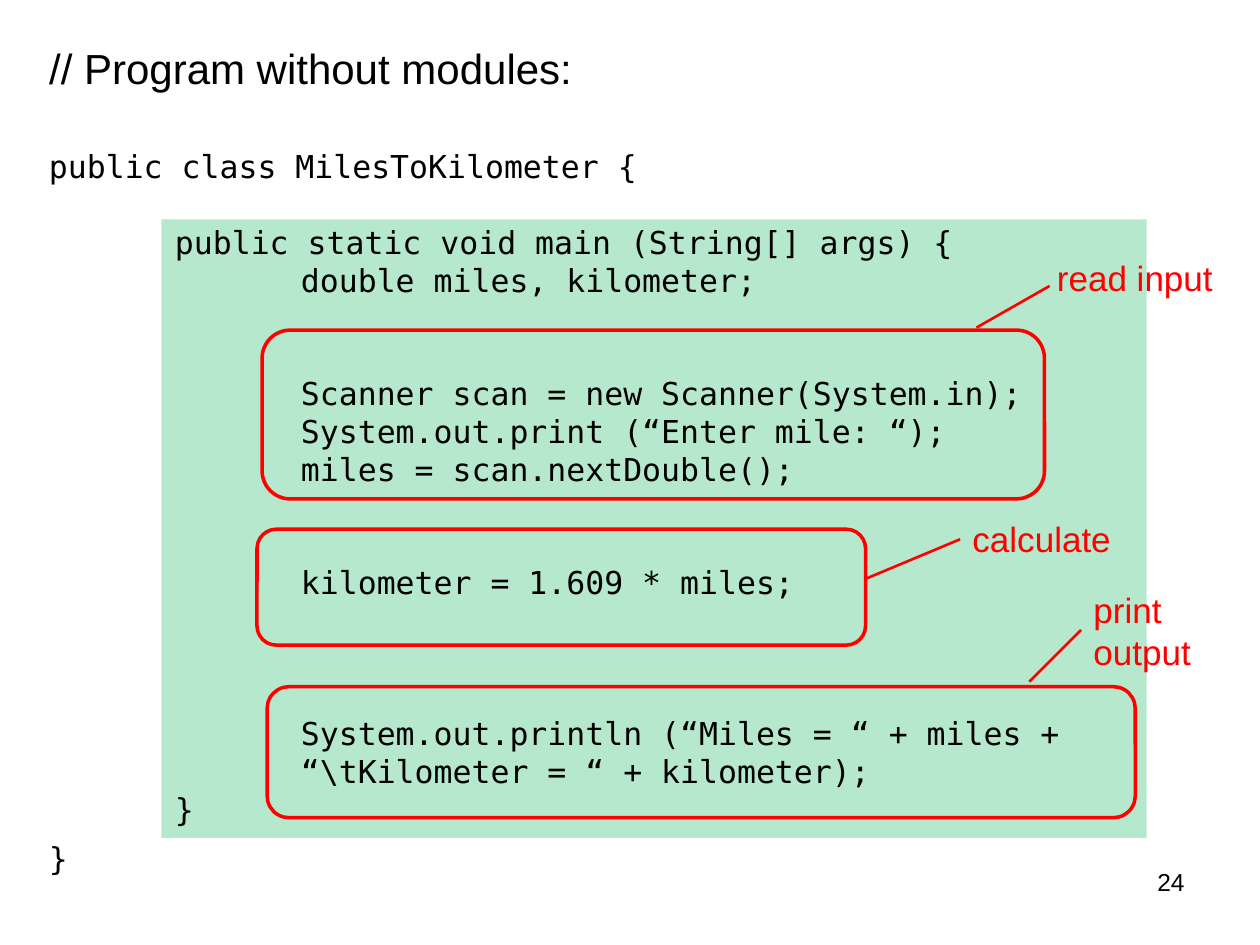
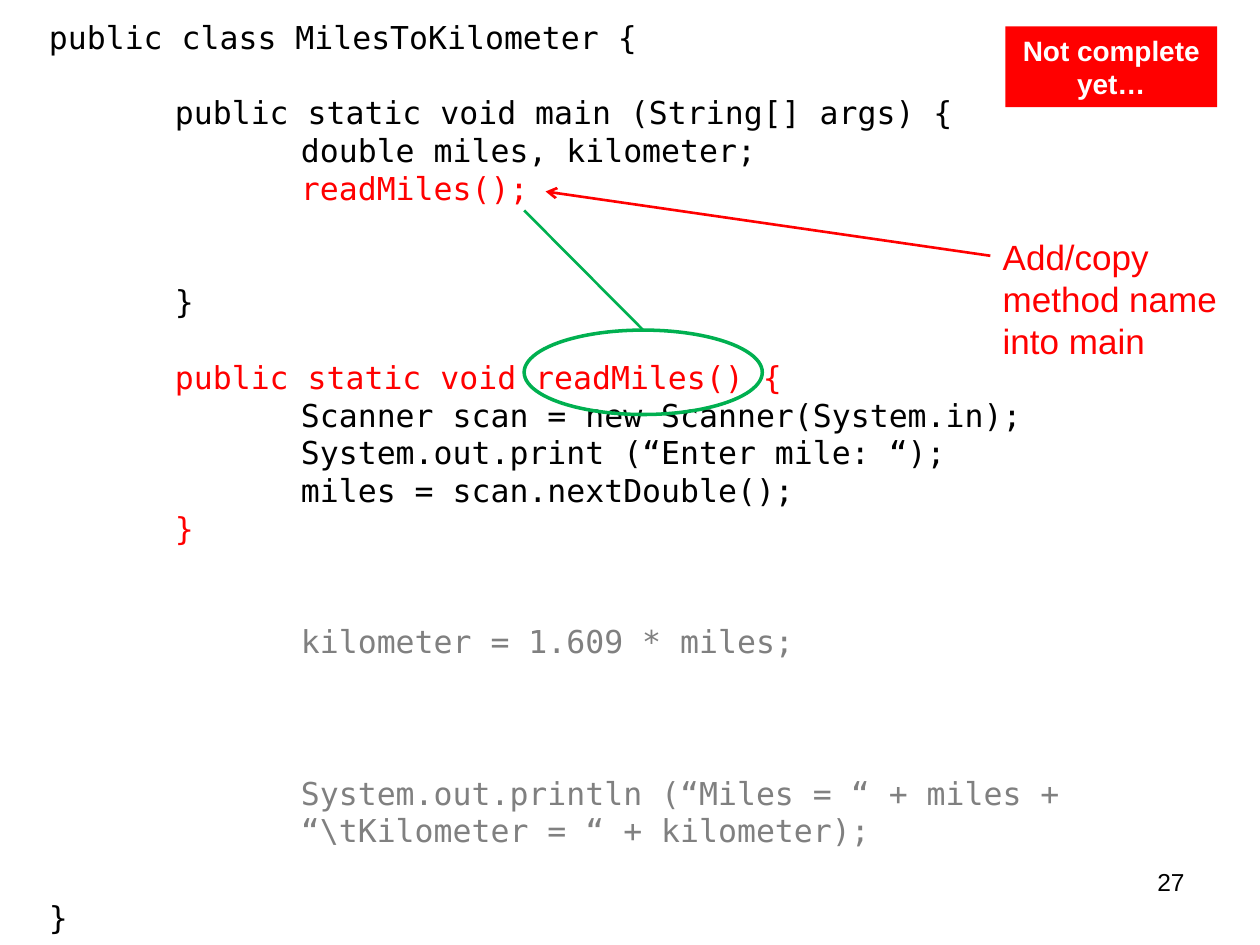
import pptx
import pptx.dml.color
import pptx.enum.shapes
import pptx.enum.text
import pptx.oxml
import pptx.oxml.ns
import pptx.util

SHAPES = pptx.enum.shapes.MSO_SHAPE
ALIGN = pptx.enum.text.PP_ALIGN
ANCHOR = pptx.enum.text.MSO_ANCHOR

BLACK, WHITE, GREY = "000000", "FFFFFF", "808080"
RED, GREEN = "FF0000", "00B050"
SANS, MONO = "Arial", "DejaVu Sans Mono"
COLUMNS, ROWS = 100, 75
CODE_SIZE, CODE_PITCH = 18, 21.6  # points

# Code that both slides show
CLASS_HEAD = ["public class MilesToKilometer {"]
MAIN_HEAD = ["public static void main (String[] args) {"]
DECLARATION = ["double miles, kilometer;"]
READ_INPUT = [
    "Scanner scan = new Scanner(System.in);",
    "System.out.print (“Enter mile: “);",
    "miles = scan.nextDouble();",
]
CALCULATE = ["kilometer = 1.609 * miles;"]
PRINT_OUTPUT = [
    "System.out.println (“Miles = “ + miles +",
    "“\\tKilometer = “ + kilometer);",
]
CLOSE = ["}"]


def rgb(value):
    return pptx.dml.color.RGBColor.from_string(value)


def add_xml(parent, tag, **attributes):
    """Append a DrawingML element to parent."""
    element = parent.makeelement(pptx.oxml.ns.qn(tag), attributes)
    parent.append(element)
    return element


class Deck:
    """Holds the style and the current slide; places are columns and rows."""

    def __init__(self):
        self.presentation = pptx.Presentation()
        self.presentation.slide_width = pptx.util.Inches(10)
        self.presentation.slide_height = pptx.util.Inches(7.5)
        self.slide = None

    def x(self, columns):
        return round(self.presentation.slide_width * columns / COLUMNS)

    def y(self, rows):
        return round(self.presentation.slide_height * rows / ROWS)

    def box(self, left, top, width, height):
        return self.x(left), self.y(top), self.x(width), self.y(height)

    def style(self, paragraph, size, color=BLACK, font=SANS, bold=False, align=ALIGN.LEFT):
        paragraph.alignment = align
        paragraph.font.size = pptx.util.Pt(size)
        paragraph.font.name = font
        paragraph.font.bold = bold
        paragraph.font.color.rgb = rgb(color)

    def new_slide(self, number, title=None):
        layout = self.presentation.slide_layouts[5 if title else 6]
        self.slide = self.presentation.slides.add_slide(layout)
        if title:
            shape = self.slide.shapes.title
            shape.left, shape.top, shape.width, shape.height = self.box(2.9, 2.9, 50, 5)
            frame = shape.text_frame
            frame.text = title
            frame.auto_size = pptx.enum.text.MSO_AUTO_SIZE.NONE
            frame.vertical_anchor = ANCHOR.TOP
            self.style(frame.paragraphs[0], 24)
        self.text(str(number), 71.7, 68.3, 23.3, 5.2, size=14, align=ALIGN.RIGHT)

    def text(self, words, *place, **style):
        shape = self.slide.shapes.add_textbox(*self.box(*place))
        shape.text_frame.word_wrap = True
        shape.text_frame.text = words
        self.style(shape.text_frame.paragraphs[0], **style)

    def note(self, words, *place):
        self.text(words, *place, size=20, color=RED)

    def code(self, top, height, blocks):
        """Each block is lines, indent in tabs, empty lines above, colour."""
        shape = self.slide.shapes.add_textbox(*self.box(2.9, top, 93.7, height))
        frame = shape.text_frame
        frame.word_wrap = True
        for block_index, (lines, indent, gap, color) in enumerate(blocks):
            for line_index, line in enumerate(lines):
                first = block_index == line_index == 0
                paragraph = frame.paragraphs[0] if first else frame.add_paragraph()
                paragraph.text = line
                paragraph.line_spacing = pptx.util.Pt(CODE_PITCH)
                space = gap * CODE_PITCH if line_index == 0 else 0
                paragraph.space_before = pptx.util.Pt(space)
                properties = paragraph._p.get_or_add_pPr()
                properties.set("marL", str(self.x(10 * indent)))
                properties.set("indent", "0")
                self.style(paragraph, CODE_SIZE, color, MONO)

    def panel(self, color, *place, opacity=100):
        shape = self.slide.shapes.add_shape(SHAPES.RECTANGLE, *self.box(*place))
        shape.shadow.inherit = False
        shape.fill.solid()
        shape.fill.fore_color.rgb = rgb(color)
        shape.line.fill.background()
        if opacity < 100:
            fill = shape._element.spPr.find(pptx.oxml.ns.qn("a:solidFill"))
            add_xml(fill[0], "a:alpha", val=str(opacity * 1000))
        return shape

    def badge(self, words, *place):
        frame = self.panel(RED, *place).text_frame
        frame.word_wrap = True
        frame.text = words
        self.style(frame.paragraphs[0], 16, WHITE, bold=True, align=ALIGN.CENTER)

    def outline(self, kind, color, *place):
        shape = self.slide.shapes.add_shape(kind, *self.box(*place))
        shape.shadow.inherit = False
        shape.fill.background()
        shape.line.color.rgb = rgb(color)
        shape.line.width = pptx.util.Pt(2)
        return shape

    def line(self, color, start, end, arrow=False):
        connector = self.slide.shapes.add_connector(
            pptx.enum.shapes.MSO_CONNECTOR.STRAIGHT,
            self.x(start[0]), self.y(start[1]), self.x(end[0]), self.y(end[1]))
        connector.line.color.rgb = rgb(color)
        connector.line.width = pptx.util.Pt(1.5)
        if arrow:
            add_xml(connector.line._get_or_add_ln(), "a:tailEnd", type="arrow")
        add_xml(connector._element.spPr, "a:effectLst")
        return connector

    def callout(self, words, frame, start, end, label):
        self.outline(SHAPES.ROUNDED_RECTANGLE, RED, *frame)
        self.line(RED, start, end)
        self.note(words, *label)


def build_without_modules(deck):
    deck.new_slide(24, "// Program without modules:")
    deck.panel(GREEN, 12.8, 17.4, 78.2, 49.1, opacity=29)
    deck.code(11.2, 59.6, [
        (CLASS_HEAD, 0, 0, BLACK),
        (MAIN_HEAD, 1, 1, BLACK),
        (DECLARATION, 2, 0, BLACK),
        (READ_INPUT, 2, 2, BLACK),
        (CALCULATE, 2, 2, BLACK),
        (PRINT_OUTPUT, 2, 3, BLACK),
        (CLOSE, 1, 0, BLACK),
        (CLOSE, 0, 0.3, BLACK),
    ])
    # The three tasks inside main
    deck.callout("read input", (20.8, 26.2, 62.1, 13.4),
                 (77.5, 26), (83.3, 22.7), (82.9, 19.9, 15, 4.1))
    deck.callout("print output", (21.2, 54.5, 68.9, 10.4),
                 (81.7, 54.1), (85.8, 50), (85.8, 46.2, 10, 7.7))
    deck.callout("calculate", (20.4, 42, 48.3, 9.2),
                 (68.8, 45.9), (76.2, 42.8), (76.2, 40.6, 14, 4.4))


def build_read_method(deck):
    deck.new_slide(27)
    deck.code(0.9, 74.1, [
        (CLASS_HEAD, 0, 0, BLACK),
        (MAIN_HEAD, 1, 1, BLACK),
        (DECLARATION, 2, 0, BLACK),
        (["readMiles();"], 2, 0, RED),
        (CLOSE, 1, 2, BLACK),
        (["public static void readMiles() {"], 1, 1, RED),
        (READ_INPUT, 2, 0, BLACK),
        (CLOSE, 1, 0, RED),
        (CALCULATE, 2, 2, GREY),
        (PRINT_OUTPUT, 2, 3, GREY),
        (CLOSE, 0, 1.3, BLACK),
    ])
    # The method name goes into main
    deck.note("Add/copy method name into main", 78.6, 18.2, 19, 11.1)
    deck.line(RED, (78.6, 20.3), (43.3, 15.2), arrow=True)
    method_name = deck.outline(SHAPES.OVAL, GREEN, 41.6, 26.2, 18.9, 6.7)
    link = deck.line(GREEN, (51, 26.2), (41.6, 16.7))
    link.begin_connect(method_name, 0)
    deck.badge("Not complete yet…", 79.8, 2.1, 16.8, 6.4)


def main():
    deck = Deck()
    build_without_modules(deck)
    build_read_method(deck)
    deck.presentation.save("out.pptx")


if __name__ == "__main__":
    main()
